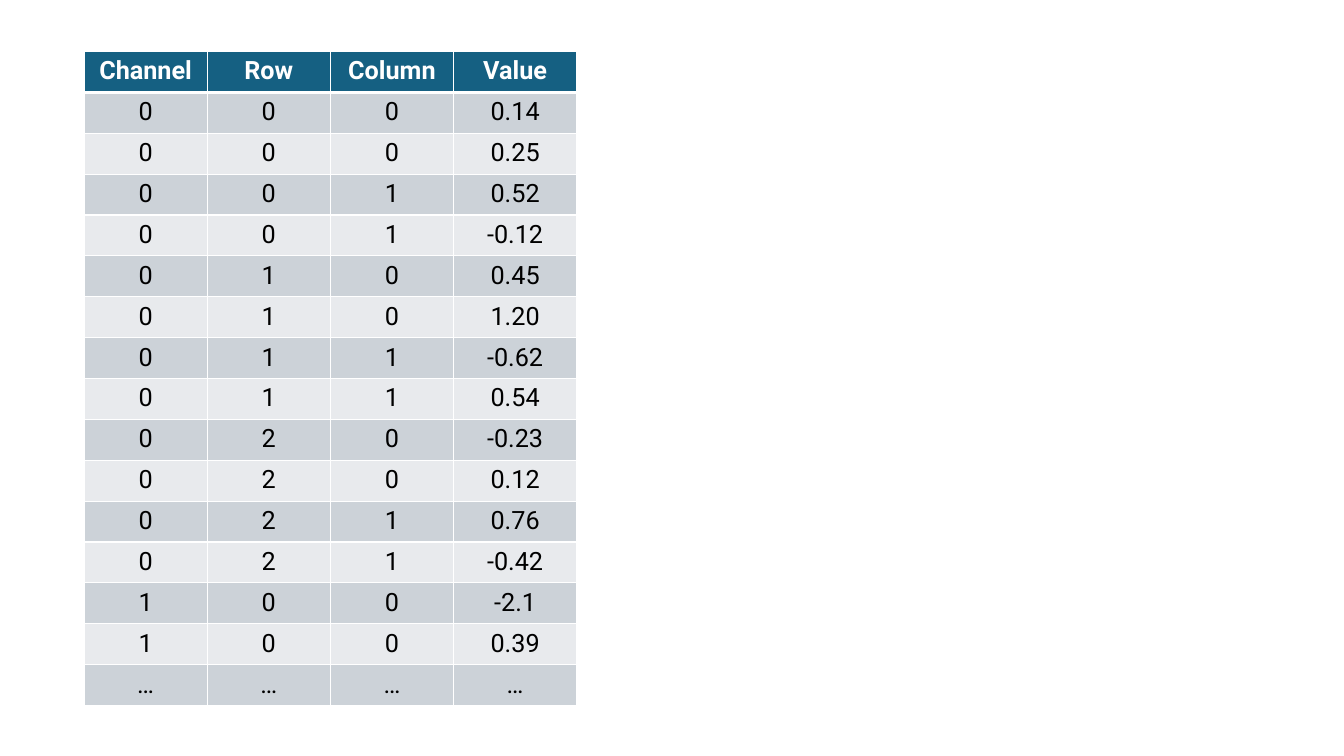
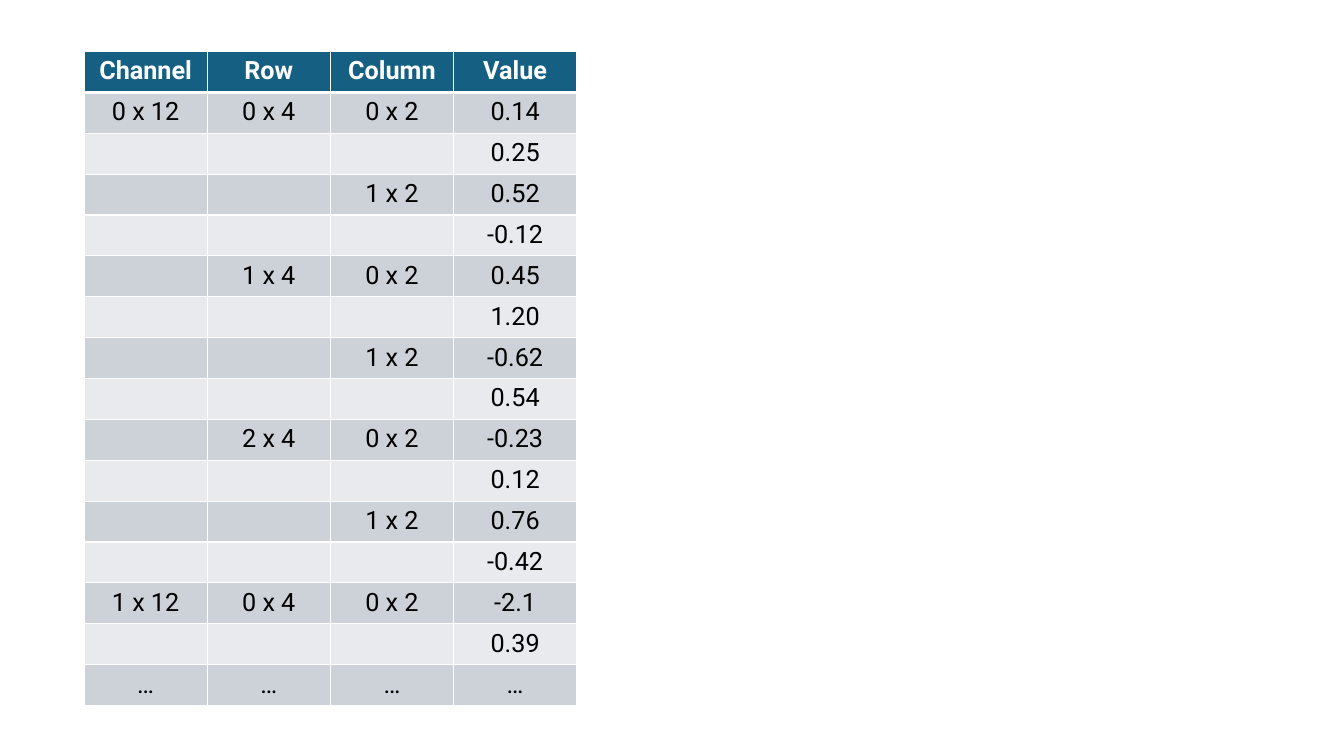
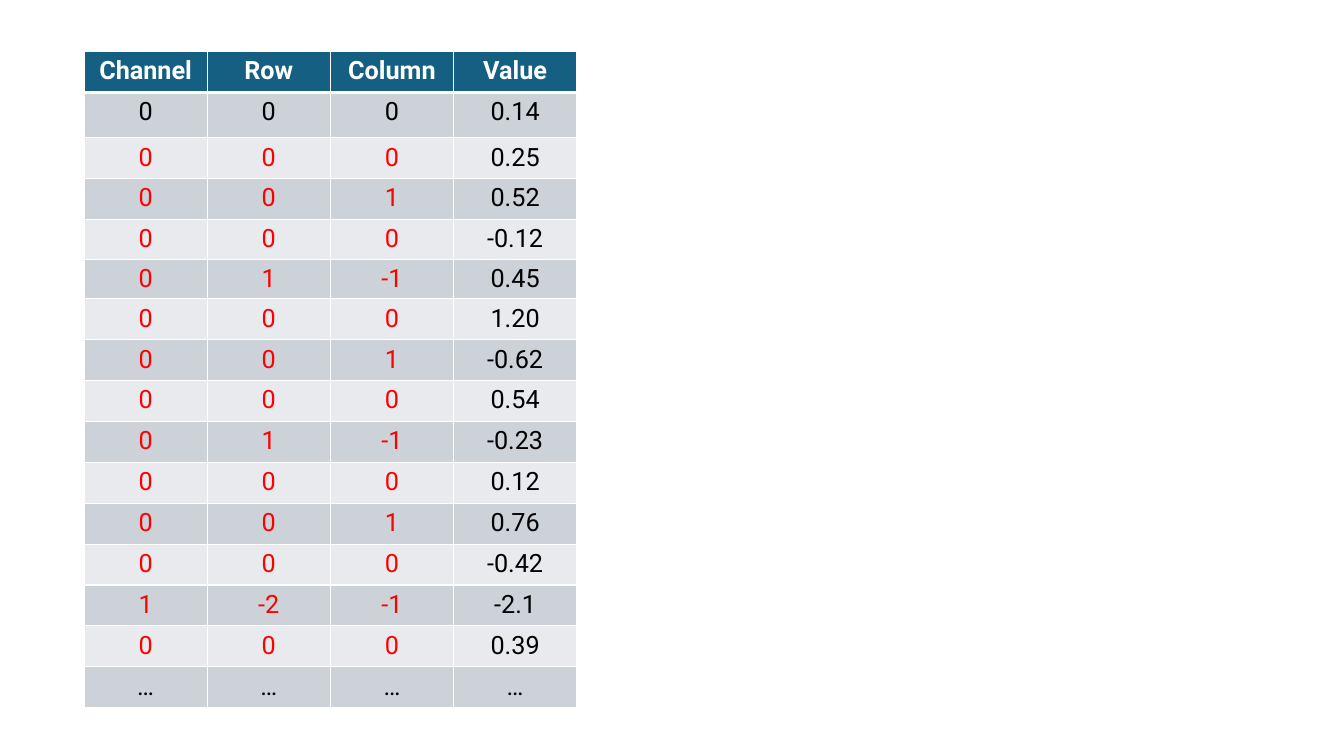
from dataclasses import dataclass

from lxml import etree
from pptx import Presentation
from pptx import util as u
from pptx.dml.color import RGBColor
from pptx.enum import text
from pptx.oxml import ns

PX = 5080  # EMU in one px, 180 px to the inch


@dataclass(frozen=True)
class Theme:
    font: str = "Roboto"
    size: int = 18
    header_fill: str = "156082"
    header_text: str = "FFFFFF"
    bands: tuple = ("CCD2D8", "E8EAED")
    body_text: str = "000000"
    delta_text: str = "FF0000"
    rule: str = "FFFFFF"
    thin: int = 1
    thick: int = 3


theme = Theme()


def add_borders(cell, widths):
    """Draw the cell's edges; widths maps L, R, T, B (in that order) to points."""
    properties = cell._tc.get_or_add_tcPr()
    for side, width in widths.items():
        line = etree.SubElement(properties, ns.qn(f"a:ln{side}"), w=str(u.Pt(width)))
        fill = etree.SubElement(line, ns.qn("a:solidFill"))
        etree.SubElement(fill, ns.qn("a:srgbClr"), val=theme.rule)


def fill_cell(cell, words, fill, color, bold):
    cell.fill.solid()
    cell.fill.fore_color.rgb = RGBColor.from_string(fill)
    para = cell.text_frame.paragraphs[0]
    para.alignment = text.PP_ALIGN.CENTER
    if not words:
        return
    span = para.add_run()
    span.text = words
    font_format = {"name": theme.font, "size": u.Pt(theme.size), "bold": bold}
    for name, value in font_format.items():
        setattr(span.font, name, value)
    span.font.color.rgb = RGBColor.from_string(color)


# The tensor has 2 channels x 3 rows x 2 columns, with two values at each place.
headings = ["Channel", "Row", "Column", "Value"]
values = ["0.14", "0.25", "0.52", "-0.12", "0.45", "1.20", "-0.62",
          "0.54", "-0.23", "0.12", "0.76", "-0.42", "-2.1", "0.39"]
run_lengths = [12, 4, 2]
axis_sizes = [2, 3, 2]
places = [[i // run % size for run, size in zip(run_lengths, axis_sizes)]
          for i in range(len(values))]

plain = [[str(n) for n in place] for place in places]
run_length = [[f"{n} x {run}" if i % run == 0 else "" for n, run in zip(place, run_lengths)]
              for i, place in enumerate(places)]
delta = plain[:1] + [[str(n - before) for n, before in zip(place, previous)]
                     for previous, place in zip(places, places[1:])]

# Encoded indices, index colour, table height and rows of unusual height
encodings = [
    (plain, theme.body_text, 1168, {}),
    (run_length, theme.body_text, 1168, {}),
    (delta, theme.delta_text, 1174, {1: 81, 4: 43, 5: 70}),
]
left, top, column_width, row_height = 150, 92, 220, 73

deck = Presentation()
deck.slide_width, deck.slide_height = 2400 * PX, 1350 * PX

for indices, index_color, height, special_heights in encodings:
    page = deck.slides.add_slide(deck.slide_layouts[6])
    lines = [headings]
    lines += [index + [value] for index, value in zip(indices, values)]
    lines.append(["…"] * len(headings))

    frame = page.shapes.add_table(len(lines), len(headings), left * PX, top * PX,
                                  column_width * len(headings) * PX, height * PX)
    table = frame.table
    for column in table.columns:
        column.width = column_width * PX

    for r, line in enumerate(lines):
        table.rows[r].height = special_heights.get(r, row_height) * PX
        is_header = r == 0
        fill = theme.header_fill if is_header else theme.bands[(r - 1) % 2]
        for c, words in enumerate(line):
            is_encoded = 1 < r < len(lines) - 1 and c < len(run_lengths)
            color = index_color if is_encoded else theme.body_text
            cell = table.cell(r, c)
            add_borders(cell, {"L": theme.thin, "R": theme.thin,
                               "T": theme.thick if r == 1 else theme.thin,
                               "B": theme.thick if is_header else theme.thin})
            fill_cell(cell, words, fill, theme.header_text if is_header else color, is_header)
    frame.height = height * PX

deck.save("out.pptx")
